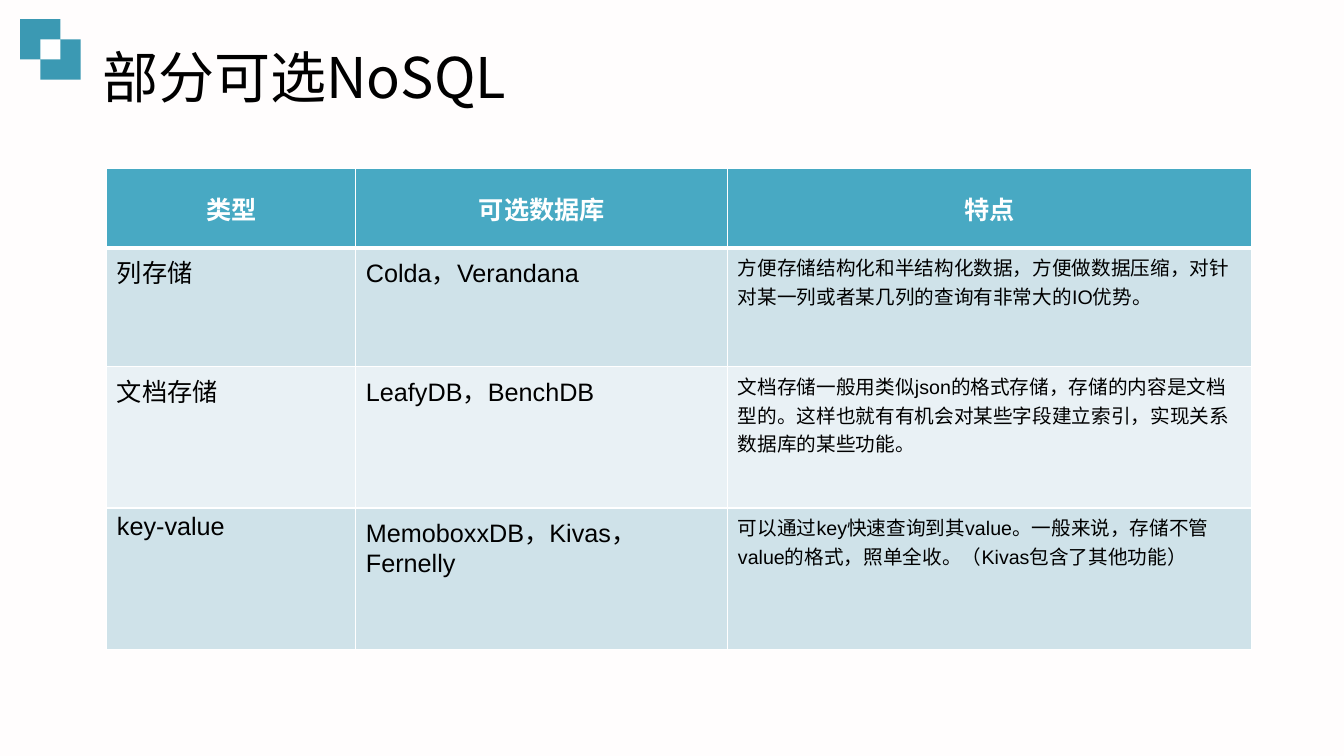
"""Builds a slide that compares NoSQL database types in a table."""
from lxml import etree
from pptx import Presentation
from pptx.dml.color import RGBColor
from pptx.enum import shapes, text
from pptx.oxml import ns
from pptx.util import Inches, Pt

COLORS = {
    "background": "FFFDFD", "logo": "3B99B3", "header": "48A9C3",
    "odd": "CFE2E9", "even": "E9F1F5", "white": "FFFFFF", "black": "000000",
}
TITLE_FORMAT = {"size": Pt(40), "name": "Noto Sans CJK SC", "bold": False}
HEADER_FORMAT = {"size": Pt(18), "name": "Arial", "bold": True}
NAME_FORMAT = {"size": Pt(18), "name": "Arial", "bold": False}
FEATURE_FORMAT = {"size": Pt(14), "name": "Arial", "bold": False}

SQUARES = [(0.4, 0.39, 0.4, "logo"), (0.2, 0.19, 0.4, "logo"), (0.4, 0.39, 0.2, "white")]
COLUMN_WIDTHS = [2.47, 3.69, 5.19]
ROW_HEIGHTS = [0.79, 1.18, 1.4, 1.4]
DATABASES = [
    ["类型", "可选数据库", "特点"],
    ["列存储", "Colda，Verandana",
     "方便存储结构化和半结构化数据，方便做数据压缩，对针对某一列或者某几列的查询有非常大的IO优势。"],
    ["文档存储", "LeafyDB，BenchDB",
     "文档存储一般用类似json的格式存储，存储的内容是文档型的。"
     "这样也就有有机会对某些字段建立索引，实现关系数据库的某些功能。"],
    ["key-value", "MemoboxxDB，Kivas，Fernelly",
     "可以通过key快速查询到其value。一般来说，存储不管value的格式，照单全收。（Kivas包含了其他功能）"],
]


def rgb(color):
    return RGBColor.from_string(COLORS[color])


def paint(fill, color):
    fill.solid()
    fill.fore_color.rgb = rgb(color)


def write(paragraph, wording, font_format, color):
    run = paragraph.add_run()
    run.text = wording
    for attribute, value in font_format.items():
        setattr(run.font, attribute, value)
    run.font.color.rgb = rgb(color)
    east_asian = etree.SubElement(run.font._element, ns.qn("a:ea"))
    east_asian.set("typeface", "Noto Sans CJK SC")


def add_title(slide, wording):
    title = slide.shapes.add_textbox(Inches(0.92), Inches(0.4), Inches(11.27), Inches(0.79))
    frame = title.text_frame
    frame.word_wrap = True
    frame.vertical_anchor = text.MSO_ANCHOR.MIDDLE
    heading = frame.paragraphs[0]
    heading.line_spacing = 0.9
    write(heading, wording, TITLE_FORMAT, "black")


def add_squares(slide):
    emblem = slide.shapes.add_group_shape()
    for left, top, side, color in SQUARES:
        square = emblem.shapes.add_shape(
            shapes.MSO_SHAPE.RECTANGLE, Inches(left), Inches(top), Inches(side), Inches(side))
        square.shadow.inherit = False
        square.line.fill.background()
        paint(square.fill, color)


def set_borders(cell, bottom_width):
    properties = cell._tc.get_or_add_tcPr()
    widths = {"a:lnL": 1, "a:lnR": 1, "a:lnT": 1, "a:lnB": bottom_width}
    for position, (side, width) in enumerate(widths.items()):
        border = etree.Element(ns.qn(side), w=str(Pt(width)))
        fill = etree.SubElement(border, ns.qn("a:solidFill"))
        etree.SubElement(fill, ns.qn("a:srgbClr"), val=COLORS["white"])
        properties.insert(position, border)


def fill_cell(cell, wording, row, column):
    is_header = row == 0
    paragraph = cell.text_frame.paragraphs[0]
    if is_header:
        cell.vertical_anchor = text.MSO_ANCHOR.MIDDLE
        paragraph.alignment = text.PP_ALIGN.CENTER
        write(paragraph, wording, HEADER_FORMAT, "white")
        paint(cell.fill, "header")
    else:
        write(paragraph, wording, FEATURE_FORMAT if column == 2 else NAME_FORMAT, "black")
        paint(cell.fill, "odd" if row % 2 else "even")
    set_borders(cell, 3 if row == 0 else 1)
    if row == 1:
        cell._tc.tcPr.find(ns.qn("a:lnT")).set("w", str(Pt(3)))


def add_database_table(slide):
    table = slide.shapes.add_table(
        len(ROW_HEIGHTS), len(COLUMN_WIDTHS), Inches(1.06), Inches(1.67),
        Inches(sum(COLUMN_WIDTHS)), Inches(sum(ROW_HEIGHTS))).table
    table.horz_banding = False
    for column, width in zip(table.columns, COLUMN_WIDTHS):
        column.width = Inches(width)
    for row, height in zip(table.rows, ROW_HEIGHTS):
        row.height = Inches(height)
    for row, wordings in enumerate(DATABASES):
        for column, wording in enumerate(wordings):
            fill_cell(table.cell(row, column), wording, row, column)


def main():
    deck = Presentation()
    deck.slide_width, deck.slide_height = Inches(13.33), Inches(7.5)
    slide = deck.slides.add_slide(deck.slide_layouts[6])
    paint(slide.background.fill, "background")
    add_title(slide, "部分可选NoSQL")
    add_squares(slide)
    add_database_table(slide)
    deck.save("out.pptx")


if __name__ == "__main__":
    main()
